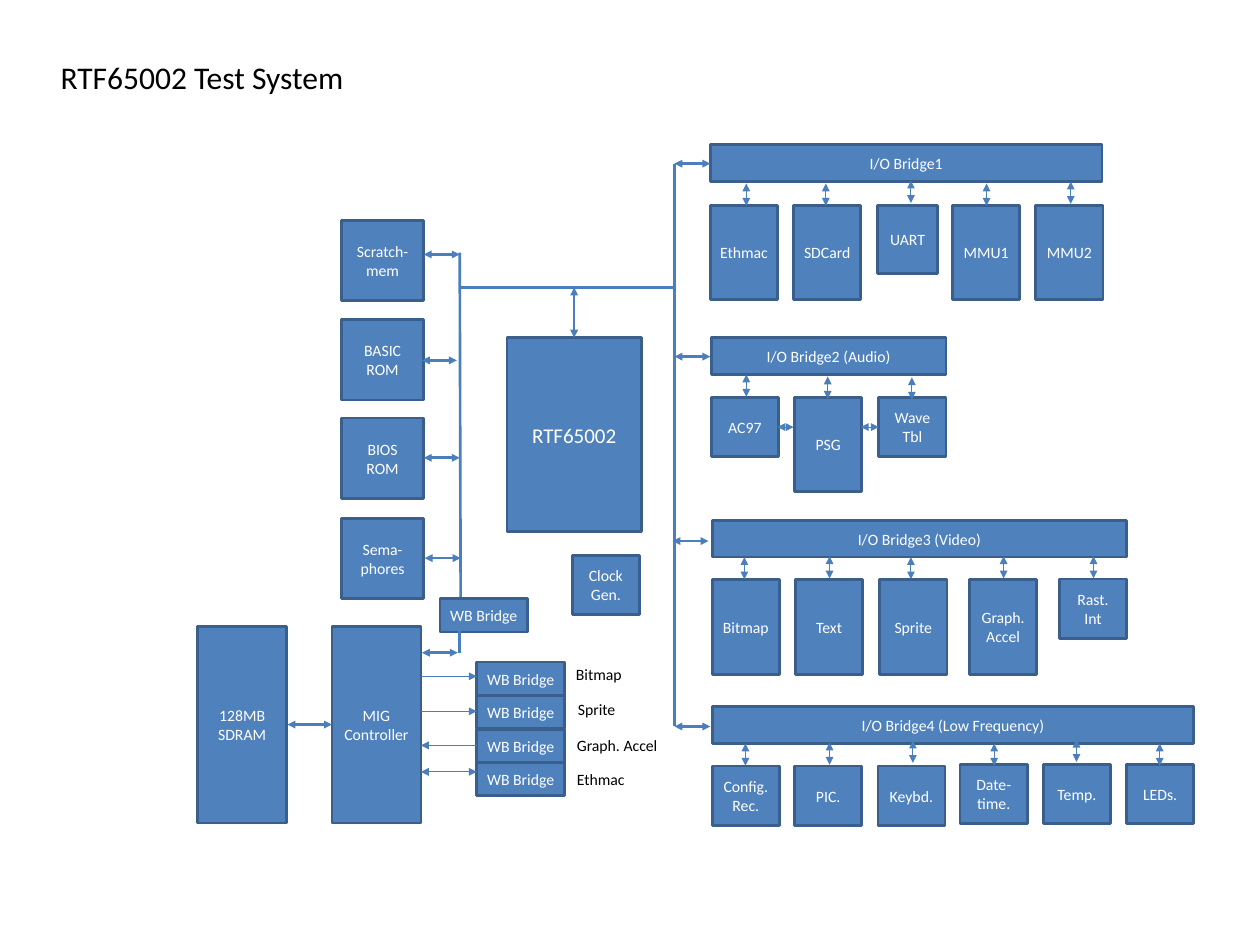
"""Builds the block diagram of the RTF65002 test system on a grid of tenths of an inch."""
from lxml import etree
from pptx import Presentation
from pptx import util as u
from pptx.dml.color import RGBColor
from pptx.enum import shapes, text
from pptx.oxml import ns

COLUMNS, ROWS = 133.2, 99.9
CELL = u.Inches(0.1)
FONT = "Calibri"
BLUE = RGBColor(0x4F, 0x81, 0xBD)
EDGE = RGBColor(0x3A, 0x5F, 0x8C)
WIRE = RGBColor(0x4B, 0x7E, 0xBC)
WHITE = RGBColor(0xFF, 0xFF, 0xFF)
BLACK = RGBColor(0, 0, 0)
THICK, THIN = 2, 0.75
PART_WIDTH, TALL, LOW = 7.1, 10, 6.3
BUS_LEFT, BUS_RIGHT = 48.6, 71.3
MIG_RIGHT, WB_LEFT = 44.5, 50.4

# Bridge: name, left, top, width, bus arrow start and row, parts.
# Part: name, left, rows below the bridge top, width, height, arrow column, arrow top.
BRIDGES = [
    ("I/O Bridge1", 75.1, 15.3, 41.4, 71.3, 17.3, [
        ("Ethmac", 75.1, 6.4, PART_WIDTH, TALL, 78.9, 19.4),
        ("SDCard", 83.9, 6.4, PART_WIDTH, TALL, 87.3, 19.4),
        ("UART", 92.8, 6.4, 6.3, 7.2, 96.3, 19.1),
        ("MMU1", 100.7, 6.4, PART_WIDTH, TALL, 104.3, 19.4),
        ("MMU2", 109.5, 6.4, PART_WIDTH, TALL, 113.2, 19.2)]),
    ("I/O Bridge2 (Audio)", 75.2, 35.7, 24.8, 71.3, 37.7, [
        ("AC97", 75.2, 6.3, PART_WIDTH, LOW, 78.9, 39.6),
        ("PSG", 84, 6.3, PART_WIDTH, TALL, 87.5, 39.8),
        ("Wave\nTbl", 92.9, 6.3, PART_WIDTH, LOW, 96.4, 39.9)]),
    ("I/O Bridge3 (Video)", 75.3, 55, 43.8, 71.1, 57.2, [
        ("Bitmap", 75.3, 6.3, PART_WIDTH, TALL, 78.7, 58.9),
        ("Text", 84.1, 6.3, PART_WIDTH, TALL, 87.7, 58.8),
        ("Sprite", 93, 6.3, PART_WIDTH, TALL, 96.3, 58.9),
        ("Graph.\nAccel", 102.5, 6.3, PART_WIDTH, TALL, 106.1, 58.8),
        ("Rast.\nInt", 112, 6.2, PART_WIDTH, LOW, 115.6, 58.8)]),
    ("I/O Bridge4 (Low Frequency)", 75.3, 74.7, 50.9, 71.3, 76.8, [
        ("Config.\nRec.", 75.3, 6.3, PART_WIDTH, LOW, 78.8, 78.6),
        ("PIC.", 84, 6.3, PART_WIDTH, LOW, 87.7, 78.5),
        ("Keybd.", 92.8, 6.3, PART_WIDTH, LOW, 96.5, 78.3),
        ("Date-time.", 101.5, 6.1, PART_WIDTH, LOW, 105.1, 78.6),
        ("Temp.", 110.3, 6.1, PART_WIDTH, LOW, 113.8, 78.2),
        ("LEDs.", 119.1, 6.1, PART_WIDTH, LOW, 122.6, 78.6)]),
]
# Memory: name, top, arrow start, arrow end, arrow row.
MEMORIES = [
    ("Scratch-mem", 23.3, 44.8, 48.6, 26.9),
    ("BASIC ROM", 33.8, 44.6, 48.3, 38.1),
    ("BIOS ROM", 44.2, 44.8, 48.6, 48.4),
    ("Sema-phores", 54.8, 44.9, 48.7, 59),
]
# Port: label, label left, label top, label width, box top, arrow row, arrowheads.
PORTS = [
    ("Bitmap", 59.9, 69.8, 7.5, 70, 71.5, "head"),
    ("Sprite", 60.1, 73.5, 6.5, 73.5, 75.2, "head"),
    ("Graph. Accel", 60, 77.3, 11, 77.1, 78.8, "tail"),
    ("Ethmac", 60, 80.9, 7.8, 80.6, 81.6, "head tail"),
]


def cells(*counts):
    """Turn grid counts into lengths."""
    return [u.Emu(round(count * CELL)) for count in counts]


def write(frame, words, size, color, align):
    """Fill a text frame with one paragraph a line."""
    for index, line in enumerate(words.split("\n")):
        para = frame.paragraphs[0] if index == 0 else frame.add_paragraph()
        para.alignment = align
        span = para.add_run()
        span.text = line
        span.font.name, span.font.size = FONT, u.Pt(size)
        span.font.color.rgb = color


def add_box(page, words, left, top, width, height, size=12):
    """Draw a blue block with a centred name."""
    box = page.shapes.add_shape(shapes.MSO_SHAPE.RECTANGLE, *cells(left, top, width, height))
    box.shadow.inherit = False
    box.fill.solid()
    box.fill.fore_color.rgb = BLUE
    box.line.color.rgb = EDGE
    box.line.width = u.Pt(THICK)
    frame = box.text_frame
    frame.word_wrap = True
    frame.vertical_anchor = text.MSO_ANCHOR.MIDDLE
    frame.margin_left = frame.margin_right = u.Inches(0.09)
    write(frame, words, size, WHITE, text.PP_ALIGN.CENTER)


def add_wire(page, start, end, weight=THICK, heads="head tail"):
    """Draw a straight wire with triangles at the named ends."""
    wire = page.shapes.add_connector(shapes.MSO_CONNECTOR.STRAIGHT, *cells(*start, *end))
    wire.line.color.rgb = WIRE
    wire.line.width = u.Pt(weight)
    outline = wire.line._get_or_add_ln()
    for name in heads.split():
        etree.SubElement(outline, ns.qn(f"a:{name}End"), type="triangle")
    etree.SubElement(wire._element.spPr, ns.qn("a:effectLst"))


def add_label(page, words, left, top, width):
    """Place a plain black label."""
    frame = page.shapes.add_textbox(*cells(left, top, width, 3)).text_frame
    frame.word_wrap = False
    write(frame, words, 12, BLACK, text.PP_ALIGN.LEFT)


def add_title(page, words):
    """Move the title placeholder to the corner and fill it."""
    title = page.shapes.title
    title.left, title.top, title.width, title.height = cells(5.4, 5.6, 32.2, 5)
    frame = title.text_frame
    frame.word_wrap = False
    frame.auto_size = text.MSO_AUTO_SIZE.NONE
    frame.vertical_anchor = text.MSO_ANCHOR.TOP
    write(frame, words, 24, BLACK, text.PP_ALIGN.LEFT)


def add_bridge(page, name, left, top, width, bus, row, parts):
    """Draw an I/O bridge, its parts and its arrows."""
    add_box(page, name, left, top, width, 3.9)
    for words, part_left, drop, part_width, height, column, arrow_top in parts:
        add_box(page, words, part_left, top + drop, part_width, height)
        add_wire(page, (column, arrow_top), (column, arrow_top + 2.35), THIN)
    add_wire(page, (bus, row), (bus + 3.8, row))


def add_wb_bridge(page, left, top):
    """Draw one small WB bridge."""
    add_box(page, "WB Bridge", left, top, 9.3, 3.5)


def add_core(page):
    """Draw the processor, the clock and the buses."""
    add_box(page, "RTF65002", 53.6, 35.7, 14.2, 20.5, 16)
    add_box(page, "Clock\nGen.", 60.5, 58.7, PART_WIDTH, LOW)
    add_wire(page, (BUS_RIGHT, 17.3), (BUS_RIGHT, 76.8), heads="")
    add_wire(page, (BUS_LEFT, 26.7), (48.7, 63.3), heads="")
    add_wire(page, (BUS_LEFT, 30.4), (BUS_RIGHT, 30.4), heads="")
    add_wire(page, (60.7, 30.4), (60.7, 35.7))


def add_memory(page):
    """Draw the memories and the memory controller with its ports."""
    for name, top, start, end, row in MEMORIES:
        add_box(page, name, 36.1, top, 8.7, 8.5)
        add_wire(page, (start, row), (end, row))
    for name, left in (("128MB\nSDRAM", 20.9), ("MIG\nController", 35.1)):
        add_box(page, name, left, 66.2, 9.4, 20.8)
    add_wire(page, (30.4, 76.6), (35.1, 76.6))
    add_wire(page, (44.6, 69), (48.4, 69))
    add_wb_bridge(page, 46.5, 63.3)
    add_wire(page, (BUS_LEFT, 66.7), (BUS_LEFT, 69), heads="")
    for label, left, label_top, width, top, row, heads in PORTS:
        add_wb_bridge(page, WB_LEFT, top)
        add_wire(page, (WB_LEFT, row), (MIG_RIGHT, row), THIN, heads)
        add_label(page, label, left, label_top, width)


def main():
    """Build and save the deck."""
    deck = Presentation()
    deck.slide_width, deck.slide_height = cells(COLUMNS, ROWS)
    page = deck.slides.add_slide(deck.slide_layouts[5])
    add_title(page, "RTF65002 Test System")
    for bridge in BRIDGES:
        add_bridge(page, *bridge)
    for left, right in ((82.2, 83.9), (91, 92.9)):
        add_wire(page, (left, 45.15), (right, 45.15), THIN)
    add_core(page)
    add_memory(page)
    deck.save("out.pptx")


if __name__ == "__main__":
    main()
